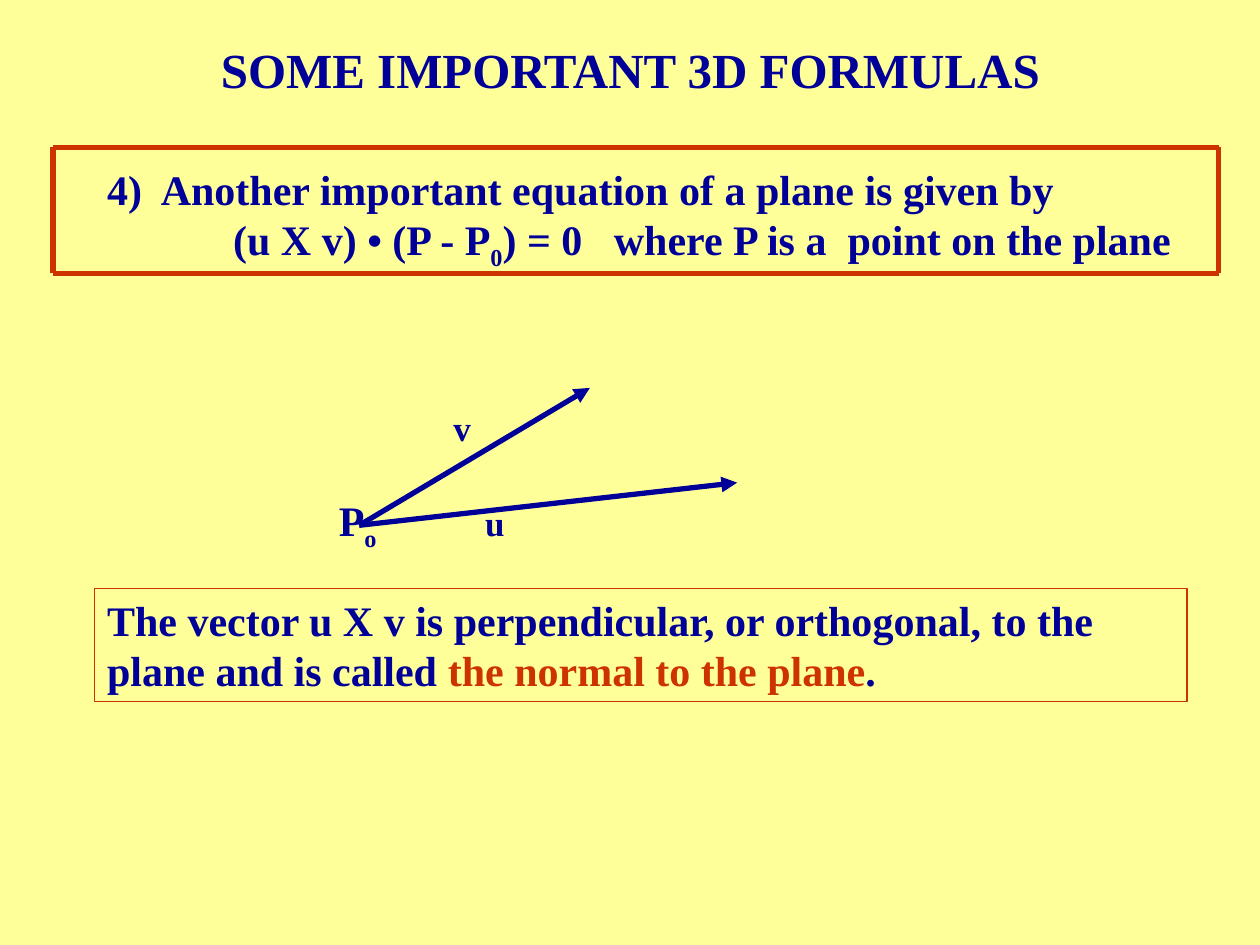
from itertools import pairwise

from lxml.etree import SubElement
from pptx import Presentation
from pptx.dml.color import RGBColor
from pptx.enum.shapes import MSO_CONNECTOR as Connector, MSO_SHAPE as Preset
from pptx.enum.text import MSO_ANCHOR as Anchor, MSO_AUTO_SIZE as AutoSize, PP_ALIGN as Align
from pptx.oxml.ns import qn
from pptx.util import Cm, Pt

COLORS = {"paper": "FFFF99", "ink": "000099", "accent": "CC3300"}
FONT = "Times New Roman"


def color(name):
    return RGBColor.from_string(COLORS[name])


def add_span(para, text, size=24, ink="ink", subscript=False):
    span = para.add_run()
    span.text = text
    span.font.name = FONT
    span.font.size = Pt(size)
    span.font.bold = True
    span.font.color.rgb = color(ink)
    if subscript:
        span._r.get_or_add_rPr().set("baseline", "-25000")


def add_text_box(shapes, left, top, width, height, wrap=True):
    box = shapes.add_textbox(Cm(left), Cm(top), Cm(width), Cm(height))
    box.text_frame.word_wrap = wrap
    box.text_frame.auto_size = AutoSize.SHAPE_TO_FIT_TEXT
    return box.text_frame


def add_line(shapes, start, end, ink, arrow=False):
    line = shapes.add_connector(Connector.STRAIGHT, *map(Cm, start + end))
    line.line.color.rgb = color(ink)
    line.line.width = Pt(3)
    if arrow:
        SubElement(line.line._get_or_add_ln(), qn("a:tailEnd"), type="triangle")
    SubElement(line._element.spPr, qn("a:effectLst"))


def add_title(page, left, top, width, height):
    title = page.shapes.title
    title.left, title.top, title.width, title.height = map(Cm, (left, top, width, height))
    frame = title.text_frame
    frame.auto_size = AutoSize.NONE
    frame.vertical_anchor = Anchor.MIDDLE
    para = frame.paragraphs[0]
    para.alignment = Align.CENTER
    add_span(para, "SOME IMPORTANT 3D FORMULAS", 28)


def add_equation(page, left, top, width, height):
    frame = add_text_box(page.shapes, left + 0.84, top + 0.2, width - 1.07, height - 0.1)
    add_span(frame.paragraphs[0], "4)  Another important equation of a plane is given by")
    formula = frame.add_paragraph()
    formula._p.get_or_add_pPr().set("marL", str(Cm(2.54)))
    add_span(formula, "(u X v) • (P - P")
    add_span(formula, "0", subscript=True)
    add_span(formula, ") = 0   where P is a  point on the plane")

    border = page.shapes.add_group_shape()
    right, bottom = left + width, top + height
    corners = [(left, top), (right, top), (right, bottom), (left, bottom), (left, top)]
    for start, end in pairwise(corners):
        add_line(border.shapes, start, end, "accent")


def add_vectors(page, left, top, width, height):
    diagram = page.shapes.add_group_shape()
    origin = (left + 0.66, top + 2.77)
    for tip in [(left + 5.31, top), (left + width, top + 1.91)]:
        add_line(diagram.shapes, origin, tip, "ink", arrow=True)

    point = add_text_box(diagram.shapes, left, top + height - 1.42, 1.27, 1.42, wrap=False)
    add_span(point.paragraphs[0], "P")
    add_span(point.paragraphs[0], "o", subscript=True)
    for name, x, y in [("v", 2.31, 0.25), ("u", 2.95, 2.16)]:
        label = add_text_box(diagram.shapes, left + x, top + y, 0.88, 1.12, wrap=False)
        add_span(label.paragraphs[0], name, 20)


def add_conclusion(page, left, top, width, height):
    box = page.shapes.add_shape(Preset.RECTANGLE, *map(Cm, (left, top, width, height)))
    box.shadow.inherit = False
    box.fill.background()
    box.line.color.rgb = color("accent")
    box.line.width = Pt(0.75)
    frame = box.text_frame
    frame.word_wrap = True
    frame.auto_size = AutoSize.SHAPE_TO_FIT_TEXT
    frame.vertical_anchor = Anchor.TOP
    para = frame.paragraphs[0]
    para.alignment = Align.LEFT
    add_span(para, "The vector u X v is perpendicular, or orthogonal, to the plane and is called ")
    add_span(para, "the normal to the plane", ink="accent")
    add_span(para, ".")


def main():
    deck = Presentation()
    deck.slide_width, deck.slide_height = Cm(25.4), Cm(19.05)
    page = deck.slides.add_slide(deck.slide_layouts.get_by_name("Title Only"))
    page.background.fill.solid()
    page.background.fill.fore_color.rgb = color("paper")
    add_title(page, 1.91, 0.43, 21.59, 1.91)
    add_equation(page, 1.07, 2.97, 23.5, 2.54)
    add_vectors(page, 6.58, 7.82, 8.28, 3.45)
    add_conclusion(page, 1.91, 11.86, 22.02, 2.29)
    deck.save("out.pptx")


if __name__ == "__main__":
    main()
